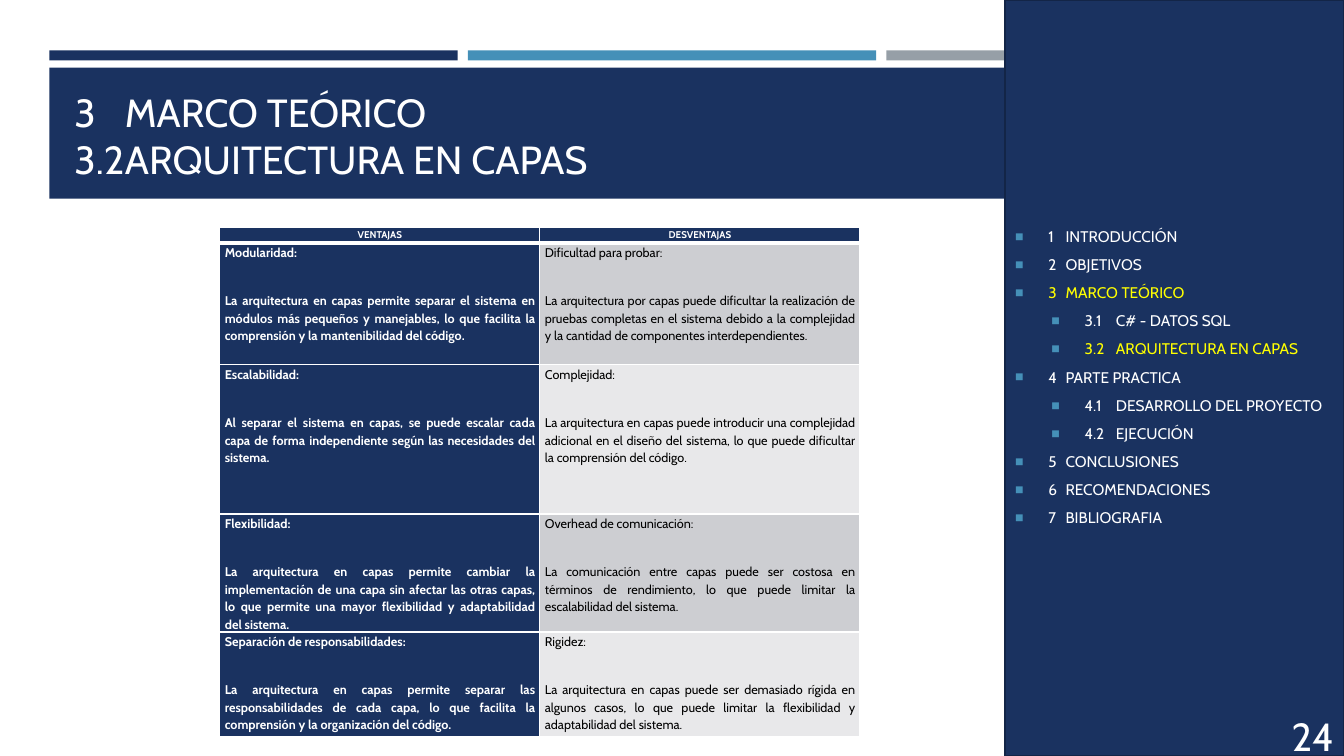
"""Build the slide on advantages and drawbacks of layered architecture."""
from lxml import etree
from pptx import Presentation
from pptx.dml.color import RGBColor
from pptx.enum.shapes import MSO_SHAPE
from pptx.enum.text import MSO_ANCHOR, PP_ALIGN
from pptx.oxml.ns import qn
from pptx.util import Inches, Pt

RECTANGLE = MSO_SHAPE.RECTANGLE
MIDDLE, BOTTOM = MSO_ANCHOR.MIDDLE, MSO_ANCHOR.BOTTOM
LEFT, CENTER, RIGHT, JUSTIFY = PP_ALIGN.LEFT, PP_ALIGN.CENTER, PP_ALIGN.RIGHT, PP_ALIGN.JUSTIFY
FONT = "Cabin"
WIDTH, HEIGHT = 13.33, 7.5
TAB = Inches(0.5)
COLORS = {
    "navy": "1A3260", "edge": "132547", "blue": "4590B8", "gray": "969FA7",
    "white": "FFFFFF", "black": "000000", "yellow": "FFFF00",
    "dark_band": "CDCED2", "light_band": "E8E8EA",
}
TITLE = "3\tMARCO TEÓRICO\v3.2\tARQUITECTURA EN CAPAS"
AGENDA = [
    ("1", "INTRODUCCIÓN"), ("2", "OBJETIVOS"), ("3", "MARCO TEÓRICO"),
    ("3.1", "C# - DATOS SQL"), ("3.2", "ARQUITECTURA EN CAPAS"),
    ("4", "PARTE PRACTICA"), ("4.1", "DESARROLLO DEL PROYECTO"),
    ("4.2", "EJECUCIÓN"), ("5", "CONCLUSIONES"),
    ("6", "RECOMENDACIONES"), ("7", "BIBLIOGRAFIA"),
]
CURRENT = {"3", "3.2"}
HEADINGS = ("VENTAJAS", "DESVENTAJAS")
COMPARISON = [
    (("Modularidad:",
      "La arquitectura en capas permite separar el sistema en módulos más pequeños y "
      "manejables, lo que facilita la comprensión y la mantenibilidad del código."),
     ("Dificultad para probar:",
      "La arquitectura por capas puede dificultar la realización de pruebas completas en el "
      "sistema debido a la complejidad y la cantidad de componentes interdependientes.")),
    (("Escalabilidad:",
      "Al separar el sistema en capas, se puede escalar cada capa de forma independiente "
      "según las necesidades del sistema."),
     ("Complejidad:",
      "La arquitectura en capas puede introducir una complejidad adicional en el diseño del "
      "sistema, lo que puede dificultar la comprensión del código.")),
    (("Flexibilidad:",
      "La arquitectura en capas permite cambiar la implementación de una capa sin afectar las "
      "otras capas, lo que permite una mayor flexibilidad y adaptabilidad del sistema."),
     ("Overhead de comunicación:",
      "La comunicación entre capas puede ser costosa en términos de rendimiento, lo que puede "
      "limitar la escalabilidad del sistema.")),
    (("Separación de responsabilidades:",
      "La arquitectura en capas permite separar las responsabilidades de cada capa, lo que "
      "facilita la comprensión y la organización del código."),
     ("Rigidez:",
      "La arquitectura en capas puede ser demasiado rígida en algunos casos, lo que puede "
      "limitar la flexibilidad y adaptabilidad del sistema.")),
]
ROW_HEIGHTS = (0.15, 1.21, 1.48, 1.17, 1.04)


def rgb(name):
    """Return the named colour."""
    return RGBColor.from_string(COLORS[name])


def style(paragraph, size, color, bold=False, align=LEFT):
    """Format a paragraph and all its runs."""
    paragraph.alignment = align
    paragraph._p.get_or_add_pPr().set("defTabSz", str(TAB))
    for run in paragraph.runs:
        run.font.name = FONT
        run.font.size = Pt(size)
        run.font.bold = bold
        run.font.color.rgb = rgb(color)


def add_panel(slide, box, color):
    """Add a flat rectangle without a line."""
    panel = slide.shapes.add_shape(RECTANGLE, *map(Inches, box))
    panel.shadow.inherit = False
    panel.fill.solid()
    panel.fill.fore_color.rgb = rgb(color)
    panel.line.fill.background()
    return panel


def add_label(slide, box, text, anchor, align):
    """Add a large white text in a box."""
    frame = slide.shapes.add_textbox(*map(Inches, box)).text_frame
    frame.word_wrap = True
    frame.vertical_anchor = anchor
    frame.text = text
    style(frame.paragraphs[0], 28, "white", align=align)


def add_header(slide, box):
    """Place three accent bars above the title banner."""
    left, top, width, height = box
    gap = 0.1
    bar_width = (width - 2 * gap) / 3
    for index, color in enumerate(("navy", "blue", "gray")):
        add_panel(slide, (left + index * (bar_width + gap), top, bar_width, 0.1), color)
    banner_top = top + 0.17
    add_panel(slide, (left, banner_top, width, height - 0.17), "navy")
    add_label(slide, (left + 0.15, banner_top + 0.08, width - 0.3, 1.11), TITLE, BOTTOM, LEFT)


def add_bullet(paragraph, indent):
    """Give a paragraph a hanging square bullet."""
    props = paragraph._p.get_or_add_pPr()
    props.set("marL", str(Inches(indent)))
    props.set("indent", str(-Inches(0.33)))
    color = etree.SubElement(props, qn("a:buClr"))
    etree.SubElement(color, qn("a:srgbClr"), val=COLORS["blue"])
    etree.SubElement(props, qn("a:buSzPct"), val="92000")
    etree.SubElement(props, qn("a:buFont"), typeface="Arial")
    etree.SubElement(props, qn("a:buChar"), char="■")


def add_sidebar(slide, box):
    """Place the agenda panel and the slide number in its corner."""
    left, top, width, height = box
    sidebar = add_panel(slide, box, "navy")
    sidebar.line.color.rgb = rgb("edge")
    sidebar.line.width = Pt(1.75)
    frame = sidebar.text_frame
    frame.word_wrap = True
    frame.vertical_anchor = MIDDLE
    frame.text = "\n".join(f"{number}\t{topic}" for number, topic in AGENDA)
    for paragraph, (number, _) in zip(frame.paragraphs, AGENDA):
        nested = "." in number
        style(paragraph, 11, "yellow" if number in CURRENT else "white")
        paragraph.level = int(nested)
        paragraph.line_spacing = 0.9
        paragraph.space_before = Pt(2.2)
        paragraph.space_after = Pt(6)
        add_bullet(paragraph, 0.69 if nested else 0.33)
    number_box = (left + width - 1.15, top + height - 0.4, 1.15, 0.4)
    add_label(slide, number_box, "24", MIDDLE, RIGHT)


def add_borders(cell, bottom_width):
    """Draw white lines on the four sides of a cell."""
    props = cell._tc.get_or_add_tcPr()
    widths = {"a:lnL": 1, "a:lnR": 1, "a:lnT": 1, "a:lnB": bottom_width}
    for position, (side, points) in enumerate(widths.items()):
        line = etree.Element(qn(side), w=str(Pt(points)))
        fill = etree.SubElement(line, qn("a:solidFill"))
        etree.SubElement(fill, qn("a:srgbClr"), val=COLORS["white"])
        props.insert(position, line)


def fill_cell(cell, text, fill, size, color, bold, align):
    """Write and format one table cell."""
    cell.margin_left = cell.margin_right = Inches(0.05)
    cell.margin_top = cell.margin_bottom = 0
    cell.fill.solid()
    cell.fill.fore_color.rgb = rgb(fill)
    cell.text_frame.text = text
    for paragraph in cell.text_frame.paragraphs:
        style(paragraph, size, color, bold, align)
        paragraph.line_spacing = 1.15
        paragraph.space_before = Pt(6)
        paragraph.space_after = Pt(16)


def add_comparison(slide, box):
    """Place the table of advantages and drawbacks."""
    table = slide.shapes.add_table(len(ROW_HEIGHTS), len(HEADINGS), *map(Inches, box)).table
    for row, height in zip(table.rows, ROW_HEIGHTS):
        row.height = Inches(height)
    for column, heading in enumerate(HEADINGS):
        header = table.cell(0, column)
        fill_cell(header, heading, "navy", 7, "white", True, CENTER)
        add_borders(header, 3)
        for row, points in enumerate(COMPARISON, 1):
            cell = table.cell(row, column)
            band = "dark_band" if row % 2 else "light_band"
            fill, color = ("navy", "white") if column == 0 else (band, "black")
            fill_cell(cell, "\n".join(points[column]), fill, 9, color, column == 0, JUSTIFY)
            add_borders(cell, 1)


def main():
    """Build and save the slide."""
    deck = Presentation()
    deck.slide_width, deck.slide_height = Inches(WIDTH), Inches(HEIGHT)
    slide = deck.slides.add_slide(deck.slide_layouts[6])
    add_header(slide, (0.49, 0.5, 12.35, 1.47))
    add_sidebar(slide, (WIDTH - 3.36, 0, 3.36, HEIGHT))
    add_comparison(slide, (2.18, 2.26, 6.35, sum(ROW_HEIGHTS)))
    deck.save("out.pptx")


if __name__ == "__main__":
    main()
